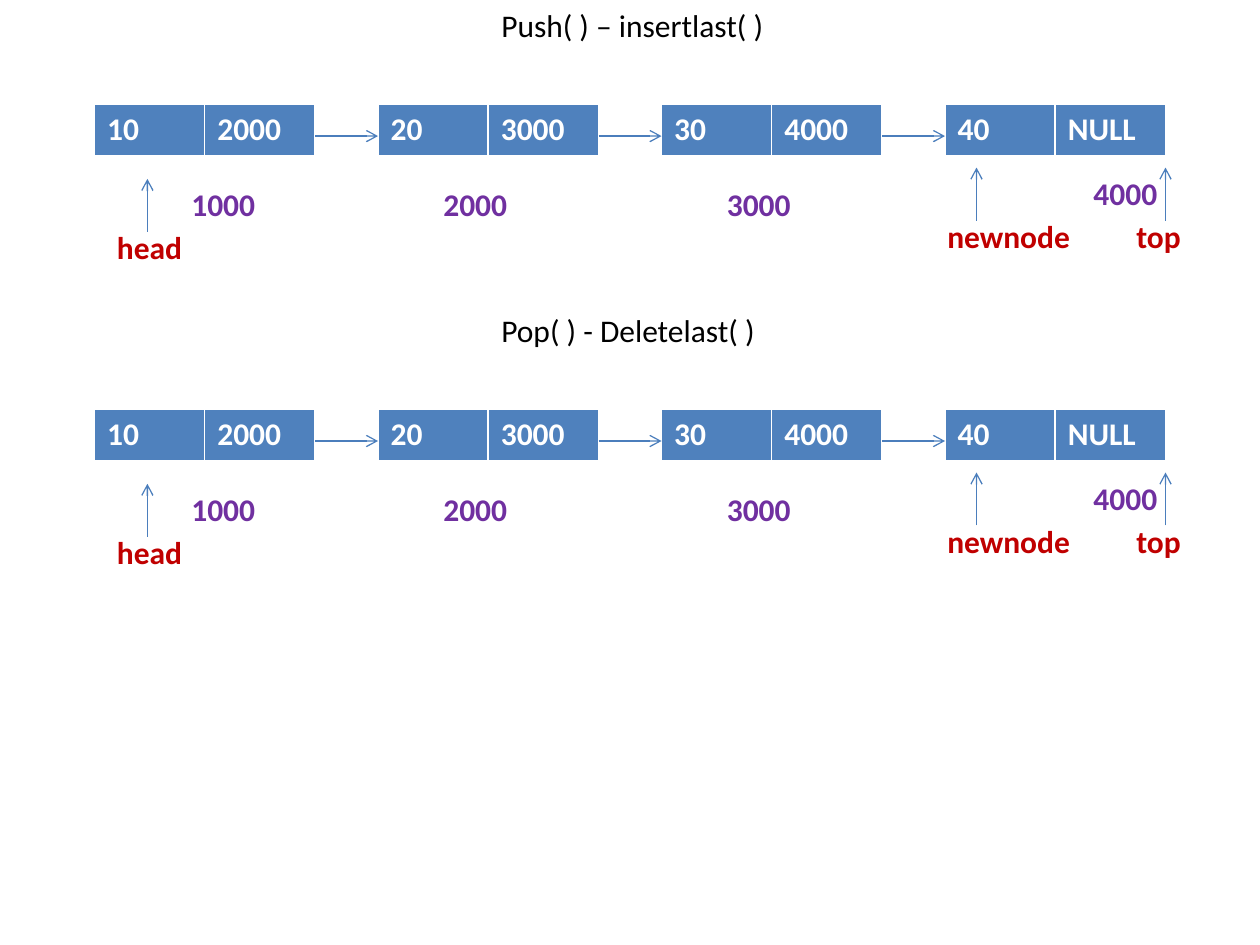
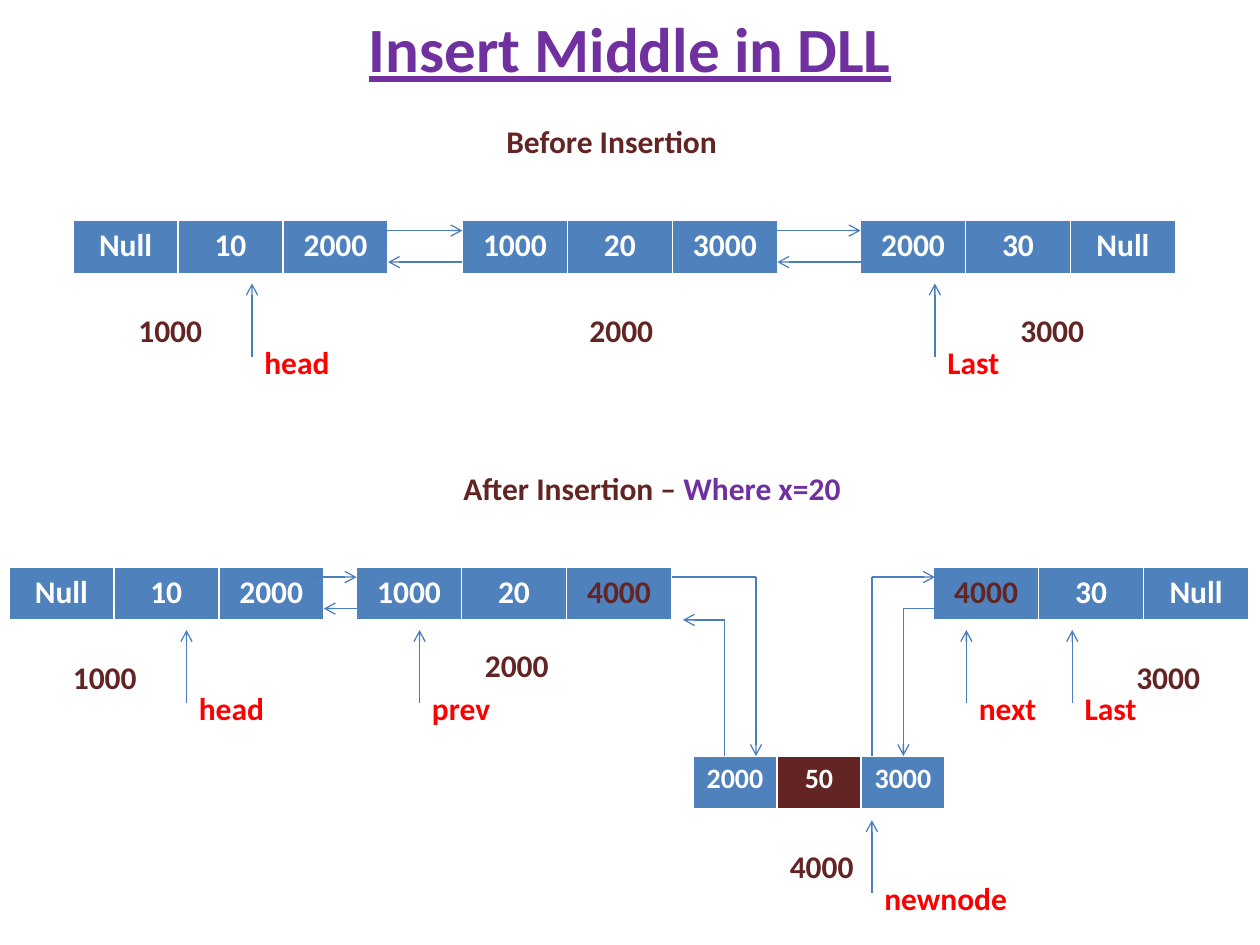
from lxml.etree import SubElement
from pptx import Presentation
from pptx.dml.color import RGBColor
from pptx.enum.shapes import MSO_CONNECTOR
from pptx.enum.text import MSO_ANCHOR, MSO_AUTO_SIZE, PP_ALIGN
from pptx.oxml.ns import qn
from pptx.util import Inches, Pt

FONT = "Calibri"
BLACK, WHITE, RED = "000000", "FFFFFF", "FF0000"
NODE_BLUE, LINE_BLUE = "4F81BD", "4B7EBC"
PURPLE, CRIMSON, MAROON = "7030A0", "C00000", "632523"


def rgb(code):
    return RGBColor.from_string(code)


def write(tf, text, size=18, color=BLACK, bold=True, underline=False, align=PP_ALIGN.LEFT):
    p = tf.paragraphs[0]
    p.alignment = align
    r = p.add_run()
    r.text = text
    r.font.name = FONT
    r.font.size = Pt(size)
    r.font.bold = bold
    r.font.underline = underline
    r.font.color.rgb = rgb(color)


def add_label(s, x, y, text, w=0.83, **fmt):
    tf = s.shapes.add_textbox(Inches(x), Inches(y), Inches(w), Inches(0.4)).text_frame
    tf.word_wrap = True
    tf.auto_size = MSO_AUTO_SIZE.SHAPE_TO_FIT_TEXT
    write(tf, text, **fmt)
    return tf


def add_line(s, x1, y1, x2, y2, arrow=True):
    c = s.shapes.add_connector(
        MSO_CONNECTOR.STRAIGHT, Inches(x1), Inches(y1), Inches(x2), Inches(y2))
    c.line.color.rgb = rgb(LINE_BLUE)
    c.line.width = Pt(0.75)
    spPr = c._element.spPr
    if arrow:
        SubElement(spPr.find(qn("a:ln")), qn("a:tailEnd"), type="arrow")
    SubElement(spPr, qn("a:effectLst"))


def add_path(s, *points):
    last = len(points) - 2
    for i, (start, end) in enumerate(zip(points, points[1:])):
        add_line(s, *start, *end, arrow=i == last)


def add_node(s, x, y, w, h, values, size=18, align=PP_ALIGN.CENTER, colors={}, fills={}):
    table = s.shapes.add_table(
        1, len(values), Inches(x), Inches(y), Inches(w), Inches(h)).table
    for i, value in enumerate(values):
        table.columns[i].width = Inches(w / len(values))
        cell = table.cell(0, i)
        cell.fill.solid()
        cell.fill.fore_color.rgb = rgb(fills.get(i, NODE_BLUE))
        write(cell.text_frame, value, size=size, color=colors.get(i, WHITE), align=align)


def stack_diagram(s, top, caption, caption_w):
    add_label(s, 3.88, top, caption, w=caption_w, bold=False)

    node_w, pitch = 1.75, 2.25
    nodes = [("10", "2000"), ("20", "3000"), ("30", "4000"), ("40", "NULL")]
    for i, values in enumerate(nodes):
        x = 0.75 + i * pitch
        add_node(s, x, top + 0.83, node_w, 0.41, values, align=PP_ALIGN.LEFT)
        if i:
            add_line(s, x - pitch + node_w, top + 1.08, x, top + 1.08)

    addresses = [(1.42, 1.42, "1000"), (3.42, 1.42, "2000"),
                 (5.67, 1.42, "3000"), (8.58, 1.33, "4000")]
    for x, y, address in addresses:
        add_label(s, x, top + y, address, w=0.92, color=PURPLE)

    pointers = [(1.17, 1.42, 0.83, 0.92, "head"),
                (7.75, 1.33, 7.42, 1.33, "newnode"),
                (9.25, 1.33, 8.92, 0.92, "top")]
    for x, y, label_x, label_w, name in pointers:
        add_line(s, x, top + y + 0.42, x, top + y)
        add_label(s, label_x, top + y + 0.34, name, w=label_w, color=CRIMSON)


def add_pointer(s, x, y, name, w=0.83):
    add_line(s, x, y + 0.58, x, y)
    add_label(s, x, y + 0.42, name, w=w, color=RED)


def add_double_link(s, left, right, y, overlap=0.0):
    add_line(s, left - overlap, y + 0.08, right, y + 0.08)
    add_line(s, right, y + 0.33, left, y + 0.33)


def list_row(s, top, nodes, addresses, pointers):
    for x, values, colors in nodes:
        add_node(s, x, top + 0.83, 2.5, 0.42, values, colors=colors)
    for x, y, address in addresses:
        add_label(s, x, top + y, address, color=MAROON)
    for x, name in pointers:
        add_pointer(s, x, top + 1.33, name)


def before_insertion(s, top):
    add_label(s, 3.92, top, "Before Insertion", w=2.17, color=MAROON)
    list_row(
        s, top,
        nodes=[(0.58, ("Null", "10", "2000"), {}),
               (3.67, ("1000", "20", "3000"), {}),
               (6.83, ("2000", "30", "Null"), {})],
        addresses=[(1, 1.5, "1000"), (4.58, 1.5, "2000"), (8, 1.5, "3000")],
        pointers=[(2, "head"), (7.42, "Last")])
    add_double_link(s, 3.08, 3.67, top + 0.83, overlap=0.08)
    add_double_link(s, 6.17, 6.83, top + 0.83)


def after_insertion(s, top):
    tf = add_label(s, 3.58, top, "After Insertion –", w=3.5, color=MAROON)
    write(tf, " Where x=20", color=PURPLE)
    list_row(
        s, top,
        nodes=[(0.07, ("Null", "10", "2000"), {}),
               (2.83, ("1000", "20", "4000"), {2: MAROON}),
               (7.41, ("4000", "30", "Null"), {0: MAROON})],
        addresses=[(0.48, 1.5, "1000"), (3.75, 1.41, "2000"), (8.92, 1.5, "3000")],
        pointers=[(1.48, "head"), (3.33, "prev"), (7.67, "next"), (8.51, "Last")])
    add_double_link(s, 2.57, 2.83, top + 0.83, overlap=0.09)

    new_top = top + 2.33
    add_node(s, 5.5, new_top, 2, 0.42, ("2000", "50", "3000"), size=16, fills={1: MAROON})
    add_label(s, 6.17, new_top + 0.67, "4000", color=MAROON)
    add_pointer(s, 6.92, new_top + 0.51, "newnode", w=1.42)

    upper, lower, bottom = top + 0.91, top + 1.16, top + 1.25
    add_path(s, (5.33, upper), (6, upper), (6, new_top))
    add_path(s, (5.75, new_top), (5.75, bottom), (5.42, bottom))
    add_path(s, (6.92, new_top), (6.92, upper), (7.42, upper))
    add_path(s, (7.42, lower), (7.17, lower), (7.17, new_top))


def stack_slide(prs):
    s = prs.slides.add_slide(prs.slide_layouts[6])
    stack_diagram(s, 0, "Push( ) – insertlast( )", 2.71)
    stack_diagram(s, 2.42, "Pop( ) - Deletelast( )", 2.25)


def insert_slide(prs):
    s = prs.slides.add_slide(prs.slide_layouts[5])
    title = s.shapes.title
    title.left, title.top = Inches(0.5), Inches(-0.25)
    title.width, title.height = Inches(9), Inches(1.25)
    title.text_frame.vertical_anchor = MSO_ANCHOR.MIDDLE
    write(title.text_frame, "Insert Middle in DLL", size=36, color=PURPLE,
          underline=True, align=PP_ALIGN.CENTER)
    before_insertion(s, 0.92)
    after_insertion(s, 3.67)


def main():
    prs = Presentation()
    prs.slide_width, prs.slide_height = Inches(10), Inches(7.5)
    stack_slide(prs)
    insert_slide(prs)
    prs.save("out.pptx")


if __name__ == "__main__":
    main()
